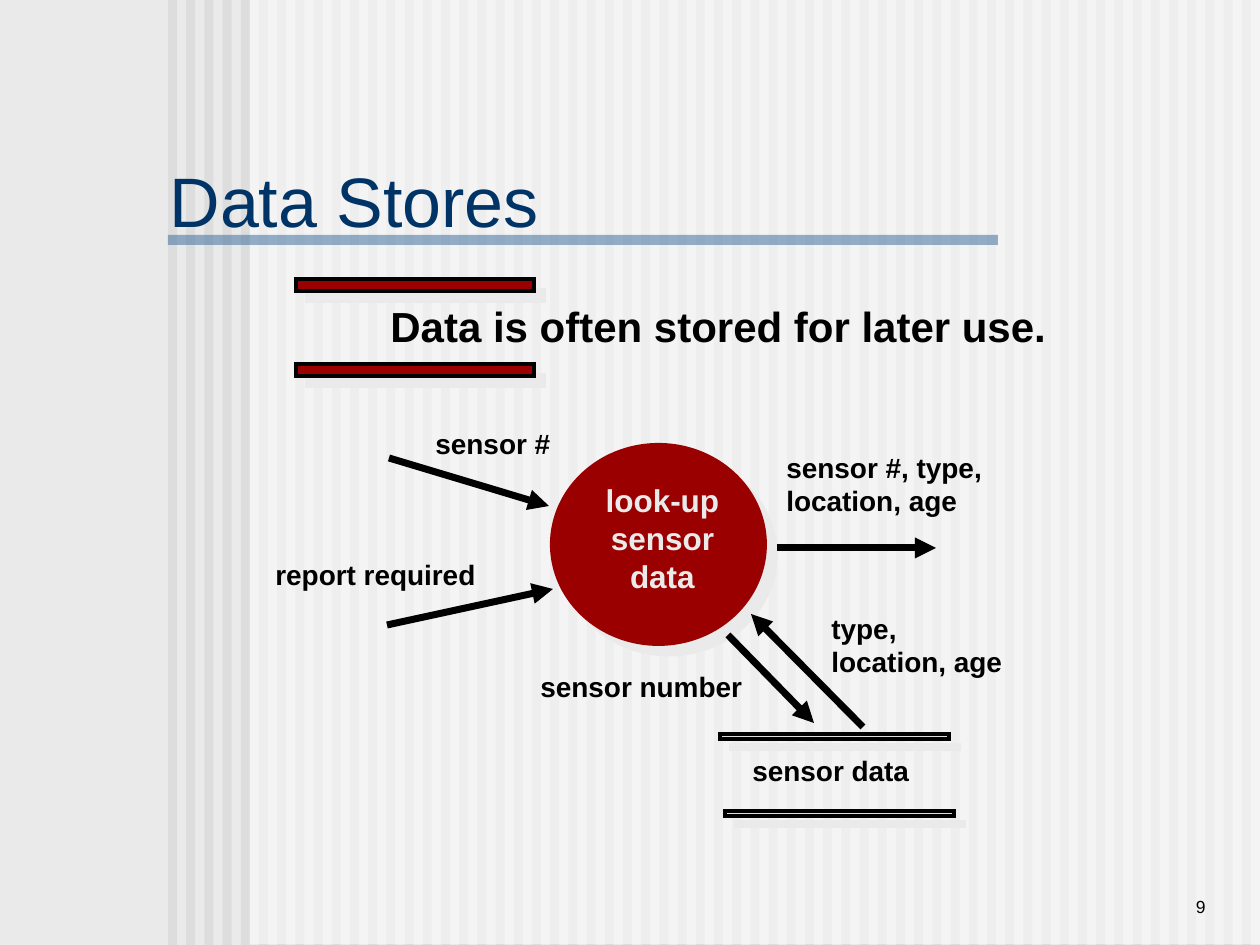
from lxml import etree
from pptx import Presentation
from pptx import util as u
from pptx.dml.color import RGBColor
from pptx.enum import shapes, text
from pptx.oxml.ns import qn

WIDTH, HEIGHT = 1260, 945
SCALE = u.Inches(10) / WIDTH

FONT = "Arial"
BLACK, RED, GREY, PALE = "000000", "9A0000", "DDDDDD", "EAEAEA"
LEFT, CENTER, RIGHT = text.PP_ALIGN.LEFT, text.PP_ALIGN.CENTER, text.PP_ALIGN.RIGHT

# Content: boxes are left, top, width, height in px
TITLE = ("Data Stores", (157, 157, 665, 85))
STRIPES = dict(count=60, left=168, pitch=18.2, width=9)
VEILS = [("FFFFFF", (250, 0, 1010, 944)), ("336699", (168, 235, 830, 10))]
STORE_BARS = [
    (RED, (296, 279, 238, 12)),
    (RED, (296, 364, 238, 12)),
    (GREY, (720, 734, 229, 5)),
    (GREY, (725, 811, 229, 5)),
]
PROCESS = (550, 443, 217, 203)
ARROWS = [  # start, end
    ((389, 458), (549, 506)),
    ((387, 625), (553, 589)),
    ((777, 548), (936, 548)),
    ((728, 635), (814, 723)),
    ((863, 727), (751, 614)),
]
LABELS = [  # lines, box, size, colour, alignment
    (["Data is often stored for later use."], (378, 294, 682, 63), 24, BLACK, LEFT),
    (["look-up", "sensor", "data"], (593, 475, 139, 164), 18, PALE, CENTER),
    (["sensor #"], (423, 420, 142, 46), 16, BLACK, LEFT),
    (["report required"], (263, 551, 227, 46), 16, BLACK, LEFT),
    (["sensor #, type,", "location, age"], (774, 444, 228, 80), 16, BLACK, LEFT),
    (["sensor data"], (740, 747, 184, 46), 16, BLACK, LEFT),
    (["sensor number"], (528, 663, 229, 46), 16, BLACK, LEFT),
    (["type,", "location, age"], (819, 605, 198, 80), 16, BLACK, LEFT),
]
PAGE_NUMBER = ("9", (1040, 860, 178, 63))


def px(value):
    return u.Emu(round(value * SCALE))


def color(value):
    return RGBColor.from_string(value)


def format_text(frame, size, hex_color, alignment, bold=False):
    for paragraph in frame.paragraphs:
        paragraph.alignment = alignment
        for run in paragraph.runs:
            run.font.name = FONT
            run.font.size = u.Pt(size)
            run.font.bold = bold
            run.font.color.rgb = color(hex_color)


def add_filled(kind, box, fill, line_width=0):
    shape = slide.shapes.add_shape(kind, *map(px, box))
    shape.shadow.inherit = False
    shape.fill.solid()
    shape.fill.fore_color.rgb = color(fill)
    if line_width:
        shape.line.color.rgb = color(BLACK)
        shape.line.width = u.Pt(line_width)
        outline = shape.element.spPr.find(qn("a:ln"))
        etree.SubElement(outline, qn("a:miter"), lim="800000")
    else:
        shape.line.fill.background()
    return shape


def set_half_transparent(shape):
    fill_color = shape.element.spPr.find(qn("a:solidFill"))[0]
    etree.SubElement(fill_color, qn("a:alpha"), val="50000")


def add_offset_shadow(shape):
    effects = shape.element.spPr.find(qn("a:effectLst"))
    shadow = etree.SubElement(effects, qn("a:outerShdw"), blurRad="0",
                              dist=str(u.Pt(8.5)), dir="2700000",
                              algn="ctr", rotWithShape="0")
    etree.SubElement(shadow, qn("a:srgbClr"), val=PALE)


def add_arrow(start, end):
    arrow = slide.shapes.add_connector(shapes.MSO_CONNECTOR.STRAIGHT,
                                       *map(px, start + end))
    arrow.line.color.rgb = color(BLACK)
    arrow.line.width = u.Pt(4)
    outline = arrow.element.spPr.find(qn("a:ln"))
    etree.SubElement(outline, qn("a:tailEnd"), type="triangle")
    etree.SubElement(arrow.element.spPr, qn("a:effectLst"))


def add_text(lines, box, size, hex_color, alignment, bold=True):
    frame = slide.shapes.add_textbox(*map(px, box)).text_frame
    frame.text = "\n".join(lines)
    frame.word_wrap = False
    frame.auto_size = text.MSO_AUTO_SIZE.SHAPE_TO_FIT_TEXT
    format_text(frame, size, hex_color, alignment, bold)
    return frame


presentation = Presentation()
presentation.slide_width, presentation.slide_height = px(WIDTH), px(HEIGHT)
slide = presentation.slides.add_slide(presentation.slide_layouts[5])
slide.background.fill.solid()
slide.background.fill.fore_color.rgb = color(PALE)

RECTANGLE, OVAL = shapes.MSO_SHAPE.RECTANGLE, shapes.MSO_SHAPE.OVAL

# Striped backdrop, white veil and title rule
for index in range(STRIPES["count"]):
    left = STRIPES["left"] + index * STRIPES["pitch"]
    add_filled(RECTANGLE, (left, 0, STRIPES["width"], HEIGHT), GREY)
for fill, box in VEILS:
    set_half_transparent(add_filled(RECTANGLE, box, fill))

# Title, raised above the backdrop
title = slide.shapes.title
title.left, title.top, title.width, title.height = map(px, TITLE[1])
title.text_frame.text = TITLE[0]
title.text_frame.auto_size = text.MSO_AUTO_SIZE.NONE
title.text_frame.vertical_anchor = text.MSO_ANCHOR.MIDDLE
format_text(title.text_frame, 40, "003366", LEFT)
slide.shapes.element.append(title.element)

# Data stores and the process
for fill, box in STORE_BARS:
    add_offset_shadow(add_filled(RECTANGLE, box, fill, line_width=2))
add_offset_shadow(add_filled(OVAL, PROCESS, RED))

# Data flows and labels
for start, end in ARROWS:
    add_arrow(start, end)
for label in LABELS:
    add_text(*label)

# Page number keeps its box and sits at the bottom right of it
number = add_text([PAGE_NUMBER[0]], PAGE_NUMBER[1], 10, BLACK, RIGHT, bold=False)
number.word_wrap = True
number.auto_size = text.MSO_AUTO_SIZE.NONE
number.vertical_anchor = text.MSO_ANCHOR.BOTTOM

presentation.save("out.pptx")
